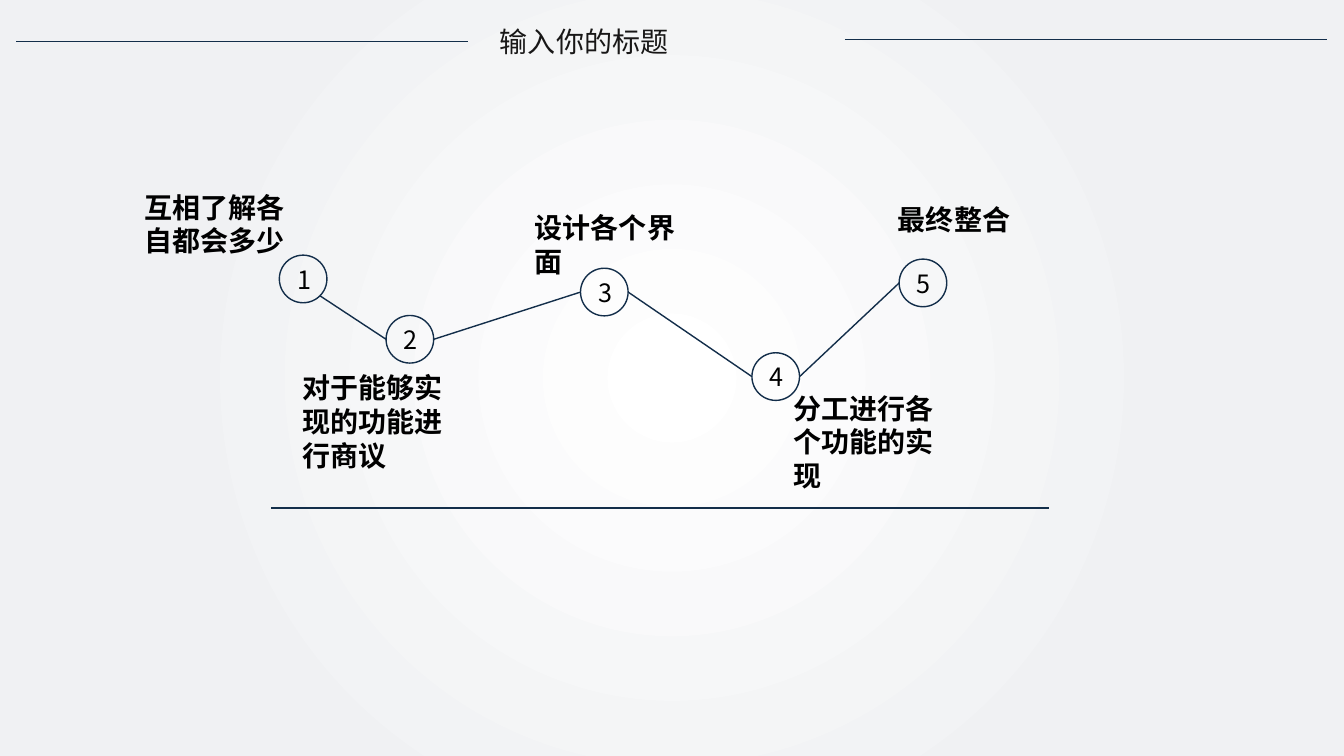
from dataclasses import dataclass
from math import sqrt

from lxml.etree import SubElement
from pptx import Presentation
from pptx.dml.color import RGBColor as Rgb
from pptx.enum.shapes import MSO_CONNECTOR as Link, MSO_SHAPE as Shape
from pptx.enum.text import MSO_ANCHOR as Anchor, MSO_AUTO_SIZE as Fit, PP_ALIGN as Align
from pptx.oxml import parse_xml
from pptx.oxml.ns import nsdecls, qn
from pptx.slide import Slide
from pptx.text.text import TextFrame as Frame
from pptx.util import Cm, Pt


@dataclass(frozen=True)
class Theme:
    font: str = "Noto Sans CJK SC"
    navy: str = "132E4A"
    black: str = "000000"
    title: str = "181717"
    glow: str = "FFFFFF"
    edge: str = "F0F1F3"
    large: int = 20
    small: int = 18
    rule: int = 1


@dataclass(frozen=True)
class Box:
    x: float
    y: float
    w: float
    h: float


@dataclass(frozen=True)
class Step:
    x: float
    y: float
    text: str
    label: Box


@dataclass(frozen=True)
class Line:
    x1: float
    y1: float
    x2: float
    y2: float


THEME = Theme()
SIZE = 1.2
WIDE = 4.11
STEPS = [
    Step(7.04, 6.43, "互相了解各自都会多少", Box(3.38, 4.67, WIDE, 1.96)),
    Step(9.73, 7.95, "对于能够实现的功能进行商议", Box(7.37, 9.22, WIDE, 2.82)),
    Step(14.63, 6.76, "设计各个界面", Box(13.23, 5.18, WIDE, 1.96)),
    Step(18.95, 8.89, "分工进行各个功能的实现", Box(19.74, 9.73, WIDE, 2.82)),
    Step(22.66, 6.53, "最终整合", Box(22.38, 4.98, WIDE, 1.12)),
]
RULES = [
    Line(6.83, 12.8, 26.44, 12.8),
    Line(0.41, 1.04, 11.79, 1.04),
    Line(21.29, 0.99, 33.43, 0.99),
]


def paint(slide: Slide) -> None:
    """Fill the background with a round glow."""
    slide.element.cSld.insert(0, parse_xml(
        f'<p:bg {nsdecls("p", "a")}><p:bgPr><a:gradFill rotWithShape="1"><a:gsLst>'
        f'<a:gs pos="0"><a:srgbClr val="{THEME.glow}"/></a:gs>'
        f'<a:gs pos="67000"><a:srgbClr val="{THEME.edge}"/></a:gs></a:gsLst>'
        '<a:path path="circle"><a:fillToRect l="50000" t="50000" r="50000" b="50000"/>'
        '</a:path></a:gradFill><a:effectLst/></p:bgPr></p:bg>'))


def write(slide: Slide, box: Box, text: str, size: int, color: str, bold: bool = False) -> Frame:
    """Add a wrapped text box and return its frame."""
    frame = slide.shapes.add_textbox(Cm(box.x), Cm(box.y), Cm(box.w), Cm(box.h)).text_frame
    frame.word_wrap = True
    frame.auto_size = Fit.SHAPE_TO_FIT_TEXT
    frame.text = text
    run = frame.paragraphs[0].runs[0]
    run.font.name = THEME.font
    run.font.size = Pt(size)
    run.font.bold = bold
    run.font.color.rgb = Rgb.from_string(color)
    SubElement(run._r.get_or_add_rPr(), qn("a:ea"), typeface=THEME.font)
    return frame


def draw(slide: Slide, line: Line) -> None:
    """Add a thin straight line without a shadow."""
    link = slide.shapes.add_connector(
        Link.STRAIGHT, Cm(line.x1), Cm(line.y1), Cm(line.x2), Cm(line.y2))
    link.line.color.rgb = Rgb.from_string(THEME.navy)
    link.line.width = Pt(THEME.rule)
    SubElement(link.element.spPr, qn("a:effectLst"))


def ring(slide: Slide, step: Step, num: int) -> None:
    """Add a step's circle, number and label."""
    oval = slide.shapes.add_shape(Shape.OVAL, Cm(step.x), Cm(step.y), Cm(SIZE), Cm(SIZE))
    oval.shadow.inherit = False
    oval.fill.background()
    oval.line.color.rgb = Rgb.from_string(THEME.navy)
    oval.line.width = Pt(THEME.rule)
    spot = Box(step.x + 0.2, step.y + 0.1, 0.79, 1.02)
    write(slide, spot, str(num), THEME.small, THEME.black)
    write(slide, step.label, step.text, THEME.large, THEME.black, True)


def join(slide: Slide) -> None:
    """Link each circle to the next one."""
    half = SIZE / 2
    slant = half / sqrt(2)
    for num, (a, b) in enumerate(zip(STEPS, STEPS[1:])):
        dx, dy = (half, 0) if num else (slant, slant)
        draw(slide, Line(a.x + half + dx, a.y + half + dy, b.x, b.y + half))


def head(slide: Slide) -> None:
    """Add the slide title."""
    frame = write(slide, Box(12.6, 0.61, 7.65, 0.86), "输入你的标题", THEME.large, THEME.title)
    frame.margin_left = frame.margin_right = frame.margin_top = frame.margin_bottom = 0
    frame.vertical_anchor = Anchor.MIDDLE
    frame.paragraphs[0].alignment = Align.JUSTIFY


def main() -> None:
    """Build and save the slide."""
    deck = Presentation()
    deck.slide_width, deck.slide_height = Cm(33.87), Cm(19.05)
    slide = deck.slides.add_slide(deck.slide_layouts[6])
    paint(slide)
    for line in RULES:
        draw(slide, line)
    for num, step in enumerate(STEPS, 1):
        ring(slide, step, num)
    join(slide)
    head(slide)
    deck.save("out.pptx")


if __name__ == "__main__":
    main()
